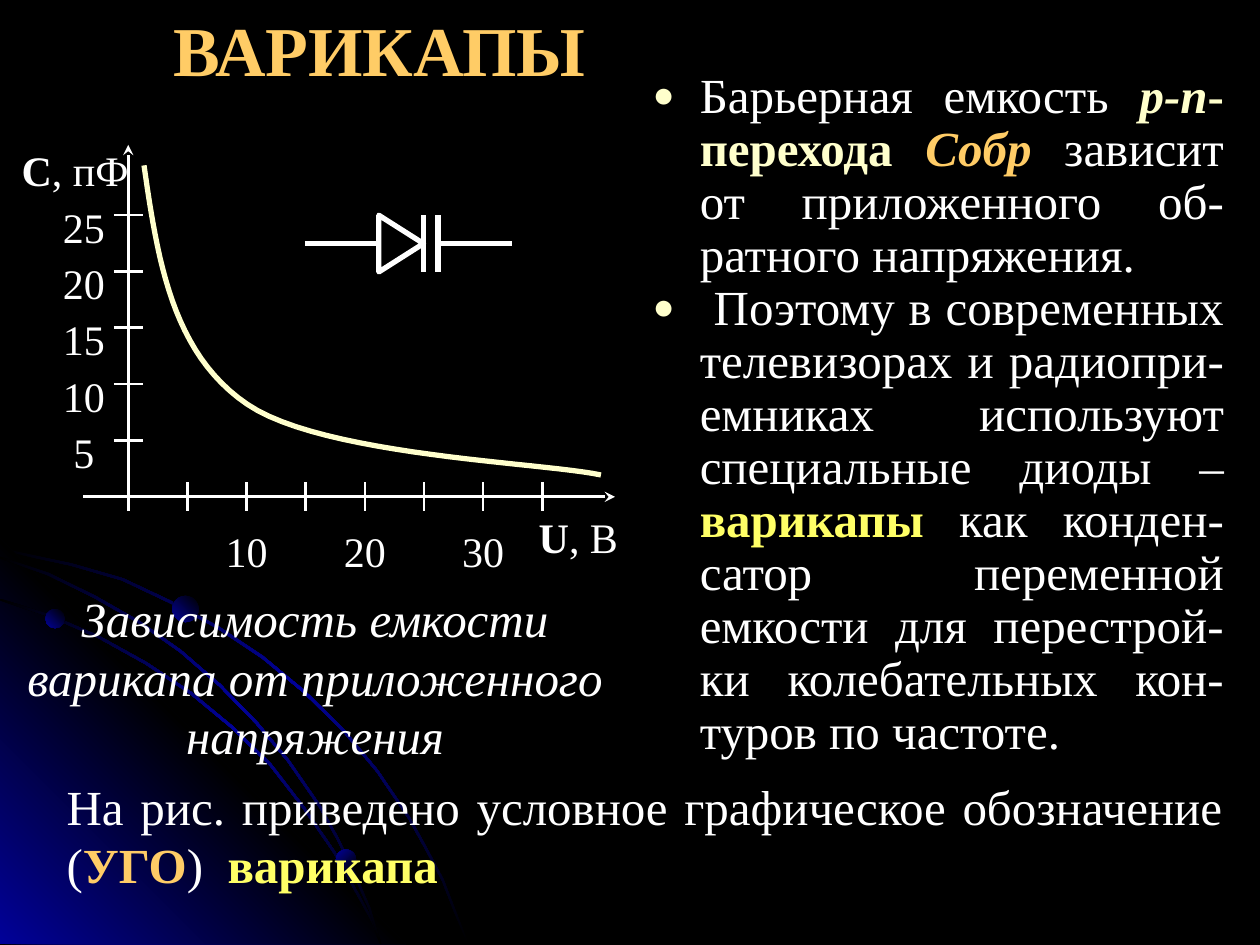
import pptx
import pptx.util
import pptx.dml.color
import pptx.enum.shapes
import pptx.enum.text
import pptx.oxml
import pptx.oxml.ns

Pt = pptx.util.Pt
ALIGN = pptx.enum.text.PP_ALIGN
FONT = "Times New Roman"
HEX = {"black": "000000", "blue": "010199", "white": "FFFFFF",
       "cream": "FFFFCC", "gold": "FFCC66", "lemon": "FFFF66"}

# Text: each paragraph is a list of (text, colour, style), b = bold, i = italic
TITLE = [[("ВАРИКАПЫ", "gold", "b")]]
BODY = [
    [("Барьерная емкость ", "white", ""), ("p-n", "cream", "bi"),
     ("-перехода ", "cream", "b"), ("Собр", "gold", "bi"),
     (" зависит от приложенного об-ратного напряжения.", "white", "")],
    [(" Поэтому в современных телевизорах и радиопри-емниках используют "
      "специальные диоды – ", "white", ""), ("варикапы", "lemon", "b"),
     (" как конден-сатор переменной емкости для перестрой-ки "
      "колебательных кон-туров по частоте. ", "white", "")],
]
LEGEND = [[("Зависимость емкости варикапа от приложенного напряжения",
            "white", "i")]]
NOTE = [[("На рис. приведено условное графическое обозначение (", "white", ""),
         ("УГО", "gold", "b"), (")  ", "white", ""),
         ("варикапа", "lemon", "b")]]
Y_NAME = [[("С", "white", "b"), (", пФ", "white", "")]]
X_NAME = [[("U", "white", "b"), (", В", "white", "")]]
Y_MARKS = [5, 10, 15, 20, 25]
X_MARKS = [5, 10, 15, 20, 25, 30, 35]
X_SHOWN = {10, 20, 30}

# Backdrop: upper edges of the arcs, and dots as (left, top, size, angle)
WEDGE = [(0, 307.5), (0, 539.5), (232, 539.5)]
ARCS = [
    [(0, 313), (20, 317.5), (41, 322), (70.5, 330.5), (98, 343.5), (125, 358),
     (150.5, 375), (174, 394.5), (196, 416), (216, 440), (234, 466.5),
     (244, 484.5), (253.5, 502.5), (260.5, 520.5), (268, 539.5)],
    [(0, 342), (29.5, 351.5), (57, 363.5), (84, 378.5), (109.5, 395.5),
     (132.5, 414.5), (155, 436.5), (174, 461), (191.5, 486.5), (206, 512.5),
     (213, 525.5), (218, 539.5)],
    [(0, 318), (28, 327.5), (54.5, 340.5), (80, 355), (103.5, 371.5),
     (126, 391), (147, 412.5), (165, 434), (183, 460), (193.5, 479),
     (203, 499), (211.5, 518.5), (218, 539.5)],
]
DOTS = [(26, 348, 11, 135), (192, 485.5, 11.5, 225), (98.5, 340.5, 15, 135)]

# Plot: axis origin, tick steps and the two Bezier pieces of the curve
X0, Y0 = 73.3, 283.9
X_STEP, Y_STEP, TICK = 33.8, 32.2, 8.2
CURVE = [[(82.3, 94.5), (90, 147.6), (98, 201.6), (141.3, 231)],
         [(141.3, 231), (185, 260.6), (309.6, 264.2), (343.4, 271.4)]]

# Varicap symbol
TOP, MID, LOW = 123, 139.2, 155.4
BACK, TIP, PLATE = 216.5, 242, 250.3
SYMBOL = [(TIP, TOP, TIP, LOW), (PLATE, TOP, PLATE, LOW),
          (174.2, MID, BACK, MID), (PLATE, MID, 292.5, MID)]

deck = pptx.Presentation()
deck.slide_width, deck.slide_height = Pt(720), Pt(540)
slide = deck.slides.add_slide(deck.slide_layouts[6])
shapes = slide.shapes


def tint(name):
    return pptx.dml.color.RGBColor.from_string(HEX[name])


def node(tag, inner="", **attrs):
    pairs = "".join(f' {k}="{v}"' for k, v in attrs.items())
    space = pptx.oxml.ns.nsdecls("a")
    return pptx.oxml.parse_xml(f"<a:{tag} {space}{pairs}>{inner}</a:{tag}>")


def text(paras, left, top, width, height, size=28, align=ALIGN.CENTER,
         pad=(7.2, 3.6), bullet=False, lead=None):
    frame = shapes.add_textbox(Pt(left), Pt(top), Pt(width), Pt(height)).text_frame
    frame.word_wrap = True
    frame.margin_left = frame.margin_right = Pt(pad[0])
    frame.margin_top = frame.margin_bottom = Pt(pad[1])
    for n, runs in enumerate(paras):
        para = frame.add_paragraph() if n else frame.paragraphs[0]
        if bullet:
            props = para._p.get_or_add_pPr()
            props.set("marL", str(Pt(27)))
            props.set("indent", str(-Pt(27)))
            props.append(node("buClr", f'<a:srgbClr val="{HEX["cream"]}"/>'))
            props.append(node("buSzPct", val=75000))
            props.append(node("buFont", typeface=FONT))
            props.append(node("buChar", char="●"))
        para.alignment = align
        if lead:
            para.line_spacing = lead
        for words, colour, style in runs:
            run = para.add_run()
            run.text = words
            run.font.name, run.font.size = FONT, Pt(size)
            run.font.bold, run.font.italic = "b" in style, "i" in style
            run.font.color.rgb = tint(colour)


def line(x1, y1, x2, y2, weight=1.5, arrow=False):
    link = shapes.add_connector(pptx.enum.shapes.MSO_CONNECTOR.STRAIGHT,
                                Pt(x1), Pt(y1), Pt(x2), Pt(y2))
    link.line.color.rgb, link.line.width = tint("white"), Pt(weight)
    if arrow:
        link.line._get_or_add_ln().append(node("tailEnd", type="stealth"))
    link._element.spPr.append(node("effectLst"))


def path_of(points, close=True):
    spots = [(Pt(x), Pt(y)) for x, y in points]
    draft = shapes.build_freeform(*spots[0])
    draft.add_line_segments(spots[1:], close=close)
    return draft.convert_to_shape()


def stroke(shape, colour):
    shape.shadow.inherit = False
    shape.fill.background()
    shape.line.color.rgb, shape.line.width = tint(colour), Pt(3)


def shade(shape, names, angle):
    shape.shadow.inherit = False
    shape.line.fill.background()
    stops = "".join(
        f'<a:gs pos="{100000 * n // (len(names) - 1)}">'
        f'<a:srgbClr val="{HEX[name]}"/></a:gs>' for n, name in enumerate(names))
    fill = node("gradFill", f"<a:gsLst>{stops}</a:gsLst>"
                f'<a:lin ang="{angle * 60000}" scaled="0"/>')
    shape._element.spPr.find(pptx.oxml.ns.qn("a:ln")).addprevious(fill)


def bezier(a, b, c, d, steps=24):
    for n in range(steps + 1):
        t = n / steps
        u = 1 - t
        yield tuple(u**3 * p + 3 * u * u * t * q + 3 * u * t * t * r + t**3 * s
                    for p, q, r, s in zip(a, b, c, d))


# Backdrop
back = slide.background.fill
back.solid()
back.fore_color.rgb = tint("black")


def arc(edge):
    under = [(max(x - 0.8, 0), min(y + 1.2, 539.5)) for x, y in reversed(edge)]
    shade(path_of(edge + under), ["black", "blue", "black"], 225)


arc(ARCS[0])
shade(path_of(WEDGE), ["blue", "black", "blue"], 135)
for edge in ARCS[1:]:
    arc(edge)
for left, top, size, angle in DOTS:
    dot = shapes.add_shape(pptx.enum.shapes.MSO_SHAPE.OVAL,
                           Pt(left), Pt(top), Pt(size), Pt(size))
    shade(dot, ["black", "blue"], angle)

# Main text
text(BODY, 365.8, 37.4, 340.6, 408.2, align=ALIGN.JUSTIFY, bullet=True, lead=0.9)
text(LEGEND, 0, 332.6, 360, 113.8)

# Axes, ticks and marks
label = {"size": 24, "pad": (0, 0)}
line(X0, Y0 + TICK, X0, 82.8, arrow=True)
line(47.5, Y0, 351.4, Y0, arrow=True)
for n, mark in enumerate(Y_MARKS, 1):
    y = Y0 - n * Y_STEP
    line(X0 - TICK, y, X0 + TICK, y)
    text([[(str(mark), "white", "")]], 31, y - 8, 33.8, 24, **label)
for n, mark in enumerate(X_MARKS, 1):
    x = X0 + n * X_STEP
    line(x, Y0 - TICK, x, Y0 + TICK)
    if mark in X_SHOWN:
        text([[(str(mark), "white", "")]], x - 16.9, 300.2, 33.8, 24, **label)
text(Y_NAME, 0, 82.8, 73.4, 32.4, align=ALIGN.RIGHT, **label)
text(X_NAME, 301, 292.3, 59, 24, **label)

# Curve
points = [p for piece in CURVE for p in bezier(*piece)]
stroke(path_of(points, close=False), "cream")

# Varicap symbol
stroke(path_of([(BACK, LOW), (BACK, TOP), (TIP, MID)]), "white")
for ends in SYMBOL:
    line(*ends, weight=3)

# Note and title
text(NOTE, 31, 440, 674.6, 75, align=ALIGN.JUSTIFY)
text(TITLE, 0, 0, 433.4, 55.4, size=40)

deck.save("out.pptx")
